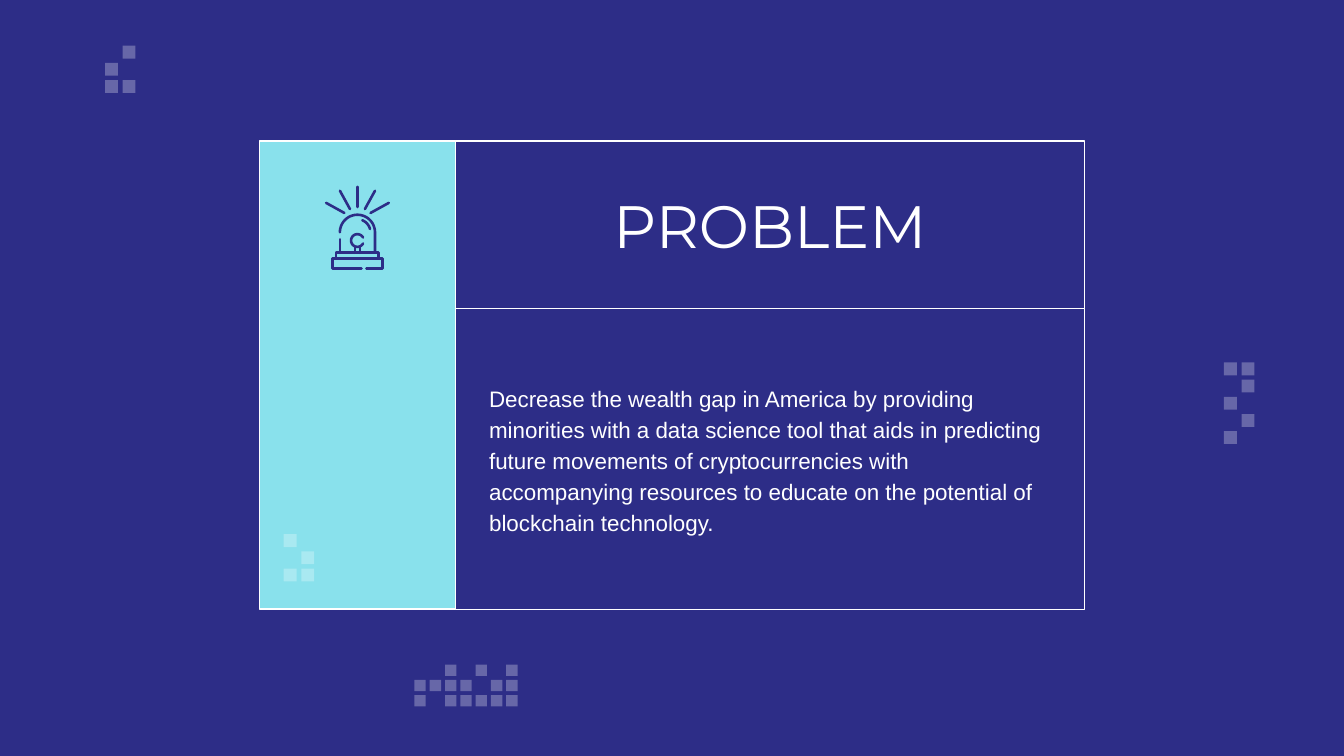
from math import cos, radians, sin

from lxml.etree import SubElement
from pptx import Presentation
from pptx.dml.color import RGBColor
from pptx.enum.shapes import MSO_CONNECTOR, MSO_SHAPE
from pptx.enum.text import MSO_ANCHOR, MSO_AUTO_SIZE, PP_ALIGN
from pptx.oxml.ns import qn
from pptx.util import Pt

NAVY, CYAN, WHITE = "2D2D87", "89E1EC", "FFFFFF"

TITLE = "PROBLEM"
BODY = (
    "Decrease the wealth gap in America by providing minorities with a data "
    "science tool that aids in predicting future movements of cryptocurrencies "
    "with accompanying resources to educate on the potential of blockchain technology."
)

# Card: a side panel next to a title cell stacked on a body cell
CARD_LEFT, CARD_TOP = 139, 75.6
PANEL_WIDTH, TEXT_WIDTH = 105, 337
TITLE_HEIGHT, BODY_HEIGHT = 89.6, 161.2

# left, top, square size, column step, row step, rows
PIXEL_CLUSTERS = [
    (655.7, 194.2, 6.9, 9.4, 9.2, ["##", ".#", "#.", ".#", "#."]),
    (56.3, 24.5, 6.9, 9.4, 9.2, [".#", "#.", "##"]),
    (222, 356, 6.1, 8.2, 8.2, ["..#.#.#", "####.##", "#.#####"]),
    (152, 286.2, 6.9, 9.4, 9.2, ["#.", ".#", "##"]),
]

# Siren: x is measured from the middle of the panel, y from the slide top
SIREN_X = CARD_LEFT + PANEL_WIDTH / 2
SIREN_STROKE = 1.4
DOME_Y, DOME_RADIUS, COLLAR_Y = 124.5, 9.4, 135.4
BULB_Y, BULB_RADIUS = 128.9, 3.4
RAYS = [((9.4, 102.2), (4, 112)), ((16.8, 108.7), (7, 114.1))]


def color(code):
    return RGBColor.from_string(code)


def paint(shape, fill, line=None, alpha=None):
    shape.shadow.inherit = False
    shape.fill.solid()
    shape.fill.fore_color.rgb = color(fill)
    if alpha is not None:
        tone = shape.fill._xPr.find(qn("a:solidFill"))[0]
        SubElement(tone, qn("a:alpha"), val=str(alpha * 1000))
    if line:
        shape.line.color.rgb = color(line)
        shape.line.width = Pt(0.75)
    else:
        shape.line.fill.background()


def place(shape, left, top, width, height):
    shape.left, shape.top = Pt(left), Pt(top)
    shape.width, shape.height = Pt(width), Pt(height)


def write(shape, text, *, font, size, align, inset, line_spacing=1, space_after=0):
    frame = shape.text_frame
    frame.word_wrap = True
    frame.auto_size = MSO_AUTO_SIZE.NONE
    frame.vertical_anchor = MSO_ANCHOR.MIDDLE
    frame.margin_left = frame.margin_right = Pt(inset)
    frame.margin_top = frame.margin_bottom = Pt(inset)
    para = frame.paragraphs[0]
    para.alignment = align
    para.line_spacing = line_spacing
    para.space_before, para.space_after = Pt(0), Pt(space_after)
    span = para.add_run()
    span.text = text
    span.font.name, span.font.size = font, Pt(size)
    span.font.bold = False
    span.font.color.rgb = color(WHITE)


def add_pixels(slide, left, top, size, column_step, row_step, rows):
    group = slide.shapes.add_group_shape()
    for row, marks in enumerate(rows):
        for column, mark in enumerate(marks):
            if mark == "#":
                square = group.shapes.add_shape(
                    MSO_SHAPE.RECTANGLE,
                    Pt(left + column * column_step), Pt(top + row * row_step),
                    Pt(size), Pt(size))
                paint(square, WHITE, alpha=28)


def arc(center_y, radius, start, end):
    """Points on a circle around the siren's axis; angles run clockwise from the right."""
    steps = 30
    angles = [radians(start + (end - start) * i / steps) for i in range(steps + 1)]
    return [(radius * cos(a), center_y + radius * sin(a)) for a in angles]


def add_stroke(group, points, close=False):
    """A connector for two points, otherwise an unfilled outline."""
    spots = [(Pt(SIREN_X + x), Pt(y)) for x, y in points]
    if len(spots) == 2:
        stroke = group.shapes.add_connector(MSO_CONNECTOR.STRAIGHT, *spots[0], *spots[1])
    else:
        builder = group.shapes.build_freeform(*spots[0])
        builder.add_line_segments(spots[1:], close=close)
        stroke = builder.convert_to_shape()
        stroke.fill.background()
    stroke.line.color.rgb = color(NAVY)
    stroke.line.width = Pt(SIREN_STROKE)
    outline = stroke.line._get_or_add_ln()
    outline.set("cap", "rnd")
    SubElement(outline, qn("a:round"))
    SubElement(stroke._element.spPr, qn("a:effectLst"))


def add_siren(slide):
    group = slide.shapes.add_group_shape()
    lines = [[(0, 100.1), (0, 110.9)], [(-DOME_RADIUS, 128.2), (-DOME_RADIUS, COLLAR_Y)]]
    for side in (-1, 1):
        lines += [[(side * x, y) for x, y in ray] for ray in RAYS]
        lines.append([(side * 1.4, 132.5), (side * 1.4, COLLAR_Y)])
    lines += [
        arc(DOME_Y, DOME_RADIUS, 180, 360) + [(DOME_RADIUS, COLLAR_Y)],
        arc(DOME_Y, 7, -68, -15),
        arc(BULB_Y, BULB_RADIUS, 28, 332),
        [(2.2, 143.9), (-13.3, 143.9), (-13.3, 138.6),
         (13.3, 138.6), (13.3, 143.9), (4.8, 143.9)],
    ]
    for points in lines:
        add_stroke(group, points)
    collar = [(-11.4, COLLAR_Y), (11.4, COLLAR_Y), (11.4, 138.6), (-11.4, 138.6)]
    add_stroke(group, collar, close=True)


def main():
    deck = Presentation()
    deck.slide_width, deck.slide_height = Pt(720), Pt(405)
    slide = deck.slides.add_slide(deck.slide_layouts[0])
    slide.background.fill.solid()
    slide.background.fill.fore_color.rgb = color(NAVY)

    text_left = CARD_LEFT + PANEL_WIDTH
    title, body = slide.placeholders
    place(title, text_left, CARD_TOP, TEXT_WIDTH, TITLE_HEIGHT)
    place(body, text_left, CARD_TOP + TITLE_HEIGHT, TEXT_WIDTH, BODY_HEIGHT)
    for cell in (title, body):
        cell_fill = cell.fill
        cell_fill.solid()
        cell_fill.fore_color.rgb = color(NAVY)
        cell.line.color.rgb = color(WHITE)
        cell.line.width = Pt(0.75)
    write(title, TITLE, font="Montserrat", size=32, align=PP_ALIGN.CENTER, inset=7.2)
    write(body, BODY, font="Arial", size=12, align=PP_ALIGN.LEFT, inset=18,
          line_spacing=1.15, space_after=8)

    panel = slide.shapes.add_shape(
        MSO_SHAPE.RECTANGLE, Pt(CARD_LEFT), Pt(CARD_TOP),
        Pt(PANEL_WIDTH), Pt(TITLE_HEIGHT + BODY_HEIGHT))
    paint(panel, CYAN, line=WHITE)
    add_siren(slide)
    for cluster in PIXEL_CLUSTERS:
        add_pixels(slide, *cluster)
    deck.save("out.pptx")


if __name__ == "__main__":
    main()
